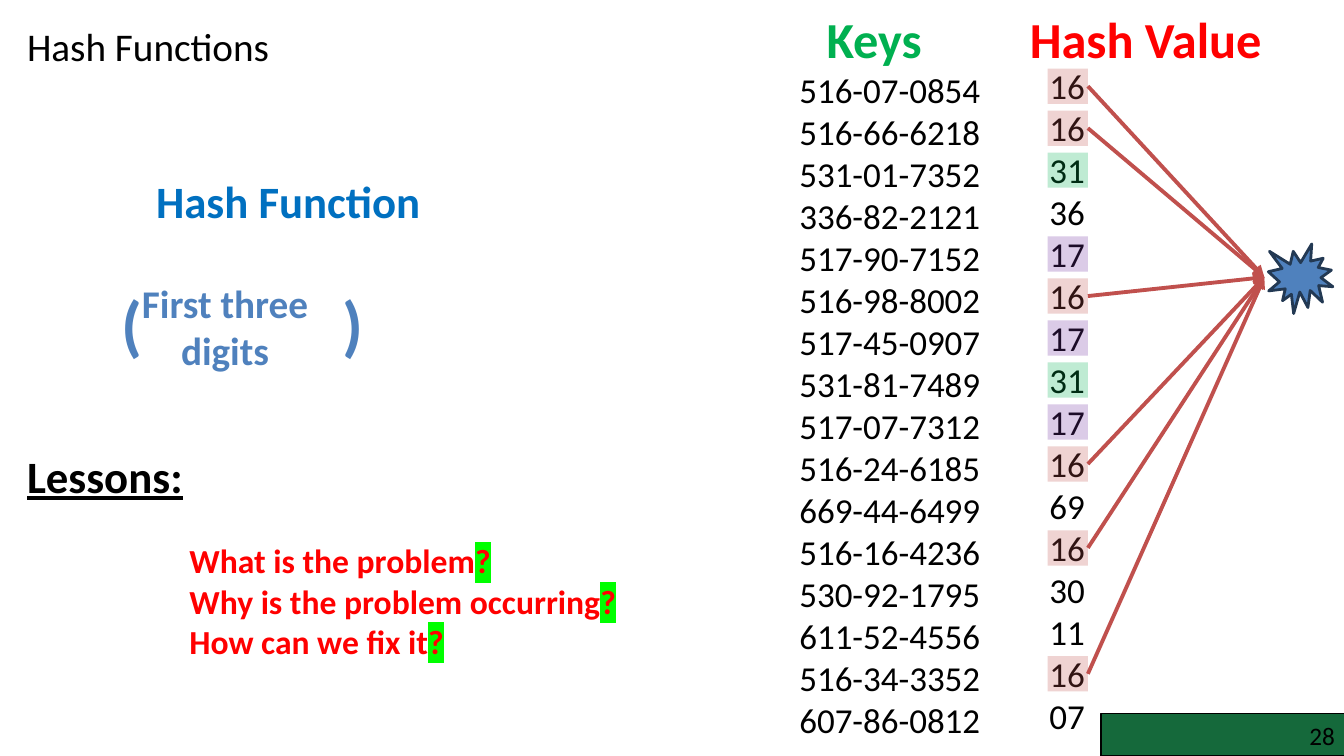
from dataclasses import dataclass

import pptx
import pptx.util
import pptx.dml.color
import pptx.enum.shapes
import pptx.enum.text
import pptx.oxml
import pptx.oxml.ns

Inches = pptx.util.Inches
Pt = pptx.util.Pt
ALIGN = pptx.enum.text.PP_ALIGN
SHAPE = pptx.enum.shapes.MSO_SHAPE

COLORS = {
    "black": "000000", "red": "FF0000", "green": "00B050", "blue": "0070C0",
    "steel": "4F81BD", "navy": "233953", "brick": "C0504D", "purple": "7030A0",
    "footer": "15693B", "marker": "00FF00",
}
KEYS = [
    "516-07-0854", "516-66-6218", "531-01-7352", "336-82-2121",
    "517-90-7152", "516-98-8002", "517-45-0907", "531-81-7489",
    "517-07-7312", "516-24-6185", "669-44-6499", "516-16-4236",
    "530-92-1795", "611-52-4556", "516-34-3352", "607-86-0812",
]
HASHES = [key[1:3] for key in KEYS]
QUESTIONS = ["What is the problem?", "Why is the problem occurring?", "How can we fix it?"]

# Values that occur more than once, and the colour that marks them
REPEATED = {"16": "brick", "31": "green", "17": "purple"}
COLLIDING = "16"
FIRST_ROW, ROW_STEP = 0.68, 5.83 / 14
COLLISION = (12.54, 2.75)


@dataclass
class Label:
    lines: list[str]
    left: float
    top: float
    width: float
    height: float
    size: float
    color: str = "black"
    bold: bool = False
    underline: bool = False
    wrap: bool = True
    aligns: tuple = (ALIGN.LEFT,)  # the last one holds for the remaining lines
    inset: bool = True
    mark: str = ""  # closing character to highlight


LABELS = [
    Label(["28"], 10.17, 7.15, 3.07, 0.3, 18, aligns=(ALIGN.RIGHT,), inset=False),
    Label(["Hash Functions"], 0.17, 0.17, 2.93, 0.57, 28, wrap=False),
    Label(["Keys"], 8.1, 0.03, 2.26, 0.71, 36, "green", bold=True),
    Label(KEYS, 7.83, 0.63, 3.17, 6.83, 25),
    Label(["Hash Value"], 9.65, 0.03, 3.43, 0.71, 36, "red", bold=True,
          aligns=(ALIGN.CENTER,)),
    Label(["Hash Function"], 1.45, 1.67, 3.31, 0.64, 32, "blue", bold=True, wrap=False),
    Label(["Lessons:"], 0.17, 4.4, 2.17, 0.64, 32, bold=True, underline=True, wrap=False),
    Label(["First three", "digits"], 1.31, 2.72, 1.87, 1.04, 28, "steel", bold=True,
          wrap=False, aligns=(ALIGN.LEFT, ALIGN.CENTER)),
    Label(["("], 1.11, 2.75, 0.41, 0.91, 48, "steel", bold=True, wrap=False),
    Label([")"], 3.3, 2.75, 0.41, 0.91, 48, "steel", bold=True, wrap=False),
    Label(QUESTIONS, 1.78, 5.31, 6.7, 2.12, 24, "red", bold=True, mark="?"),
    Label(HASHES, 10.31, 0.59, 0.96, 6.83, 25),
]


def rgb(name: str):
    return pptx.dml.color.RGBColor.from_string(COLORS[name])


def element(xml: str):
    """Parse one element of the drawing namespace."""
    return pptx.oxml.parse_xml(xml.replace("/>", f' {pptx.oxml.ns.nsdecls("a")}/>', 1))


def add_span(para, text: str, label: Label, marked: bool = False) -> None:
    span = para.add_run()
    span.text = text
    formats = {"name": "Calibri", "size": Pt(label.size), "bold": label.bold,
               "underline": label.underline}
    for name, value in formats.items():
        setattr(span.font, name, value)
    span.font.color.rgb = rgb(label.color)
    if marked:
        highlight = element("<a:highlight/>")
        highlight.append(element(f'<a:srgbClr val="{COLORS["marker"]}"/>'))
        span.font.fill._xPr.find(pptx.oxml.ns.qn("a:latin")).addprevious(highlight)


def add_label(page, label: Label) -> None:
    box = page.shapes.add_textbox(
        *map(Inches, (label.left, label.top, label.width, label.height)))
    frame = box.text_frame
    formats = {"word_wrap": label.wrap,
               "auto_size": pptx.enum.text.MSO_AUTO_SIZE.SHAPE_TO_FIT_TEXT}
    if not label.inset:
        formats |= {f"margin_{side}": 0 for side in ("left", "top", "right", "bottom")}
    for name, value in formats.items():
        setattr(frame, name, value)
    for index, line in enumerate(label.lines):
        para = frame.add_paragraph() if index else frame.paragraphs[0]
        para.alignment = label.aligns[min(index, len(label.aligns) - 1)]
        if label.mark:
            add_span(para, line.removesuffix(label.mark), label)
            add_span(para, label.mark, label, marked=True)
        else:
            add_span(para, line, label)


def add_figure(page, kind, place: tuple, fill: str, line: str = "",
               width: float = 0, opacity: int = 100):
    figure = page.shapes.add_shape(kind, *map(Inches, place))
    figure.shadow.inherit = False
    figure.fill.solid()
    figure.fill.fore_color.rgb = rgb(fill)
    if opacity < 100:
        color = figure.fill._xPr.find(".//" + pptx.oxml.ns.qn("a:srgbClr"))
        color.append(element(f'<a:alpha val="{opacity * 1000}"/>'))
    if line:
        figure.line.color.rgb = rgb(line)
        figure.line.width = Pt(width)
    else:
        figure.line.fill.background()
    return figure


def add_arrow(page, source) -> None:
    end = tuple(map(Inches, COLLISION))
    arrow = page.shapes.add_connector(
        pptx.enum.shapes.MSO_CONNECTOR.STRAIGHT, source.left, source.top, *end)
    arrow.begin_connect(source, 3)
    arrow.line.color.rgb = rgb("brick")
    arrow.line.width = Pt(2.75)
    arrow.line._get_or_add_ln().append(element('<a:tailEnd type="triangle"/>'))
    arrow._element.spPr.append(element("<a:effectLst/>"))


def main() -> None:
    deck = pptx.Presentation()
    deck.slide_width, deck.slide_height = Inches(13.33), Inches(7.5)
    page = deck.slides.add_slide(deck.slide_layouts[6])

    # Footer bar and all text
    add_figure(page, SHAPE.RECTANGLE, (10.92, 7.08, 2.42, 0.42), "footer", "black", 1)
    for label in LABELS:
        add_label(page, label)

    # Tints over the repeated hash values
    colliding = []
    for value, color in REPEATED.items():
        for row, found in enumerate(HASHES):
            if found == value:
                place = (10.39, FIRST_ROW + row * ROW_STEP, 0.4, 0.35)
                tint = add_figure(page, SHAPE.RECTANGLE, place, color, opacity=25)
                if value == COLLIDING:
                    colliding.append(tint)

    # Arrows to the collision
    for tint in colliding:
        add_arrow(page, tint)
    add_figure(page, SHAPE.EXPLOSION1, (12.58, 2.42, 0.64, 0.69), "steel", "navy", 2)

    deck.save("out.pptx")


if __name__ == "__main__":
    main()
